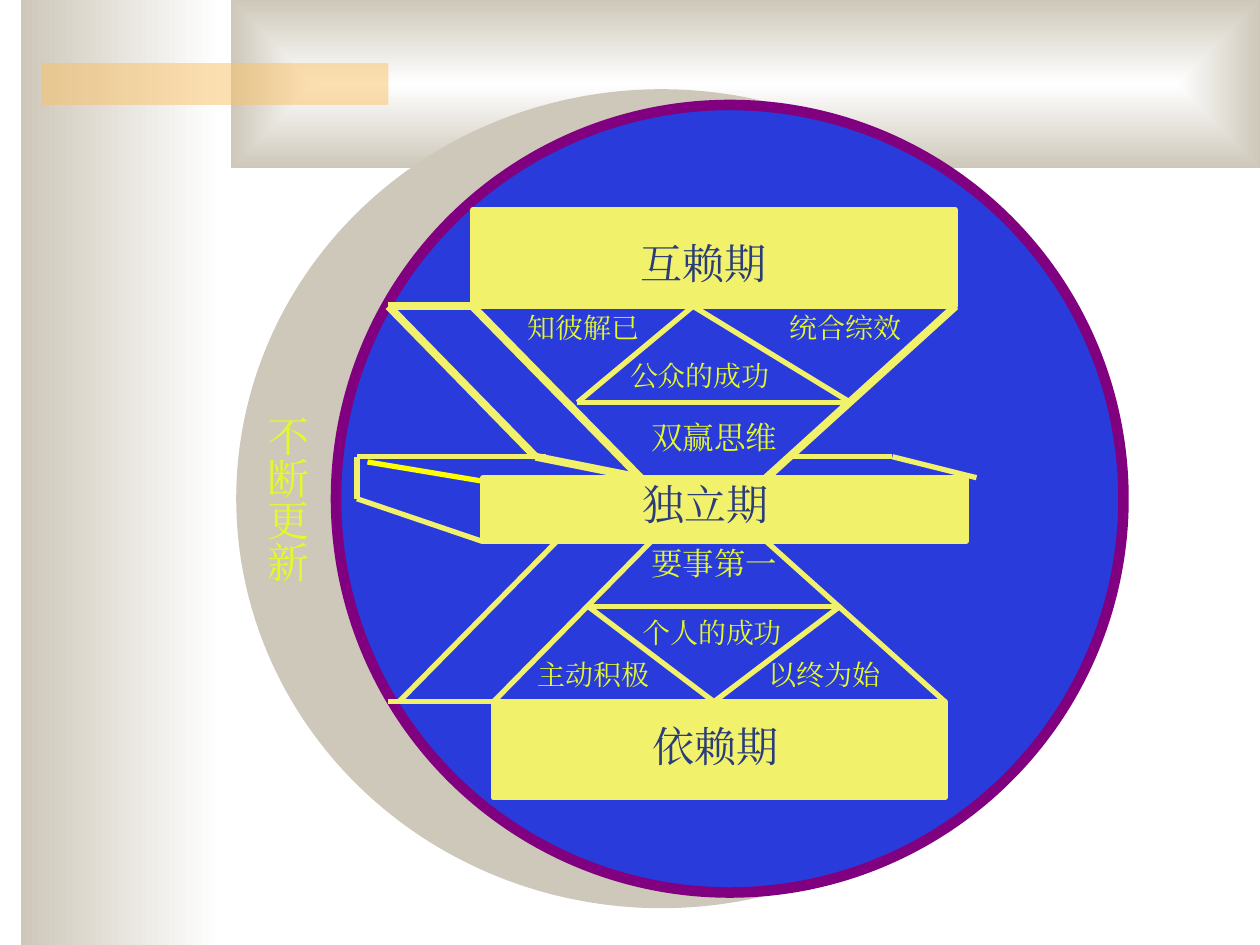
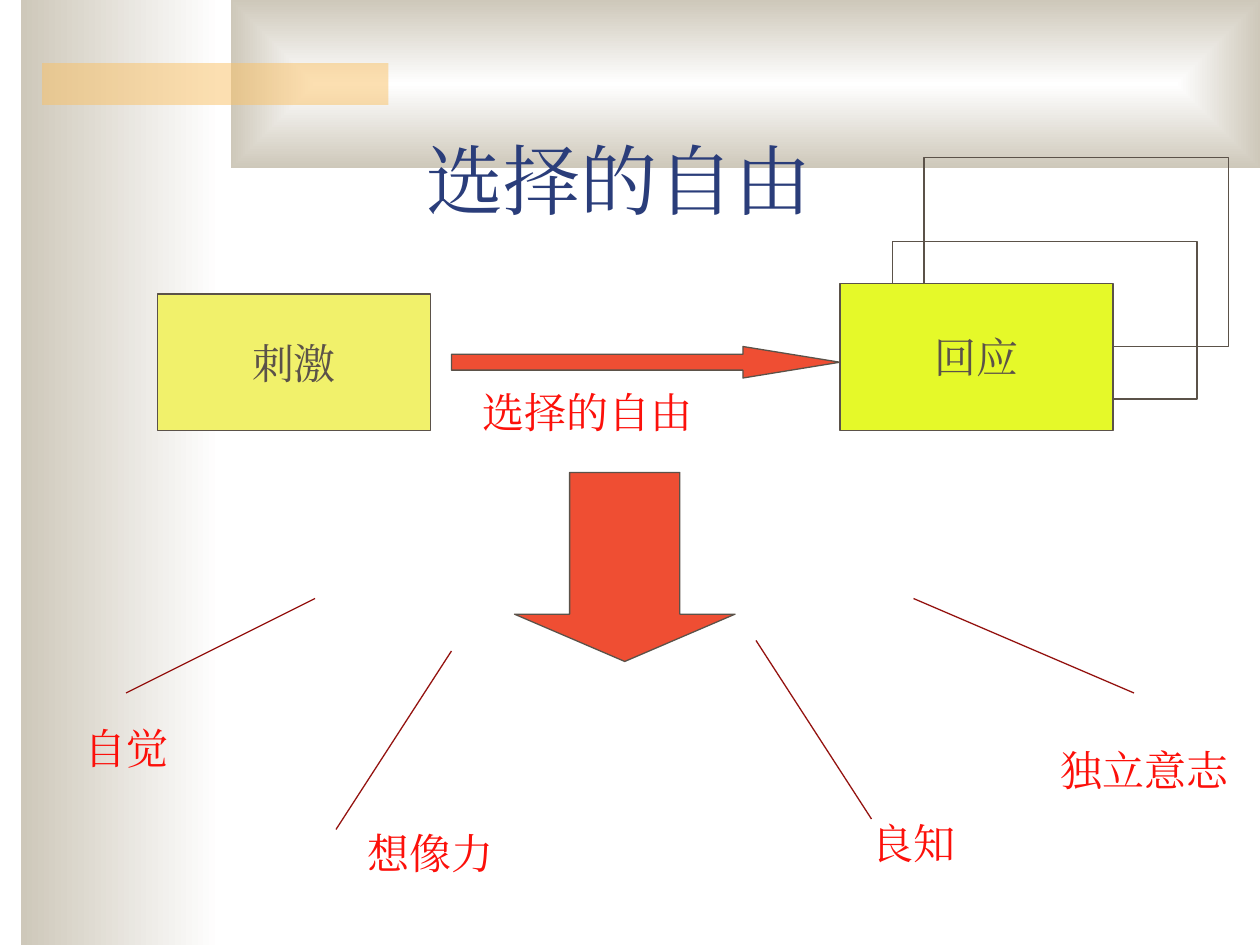
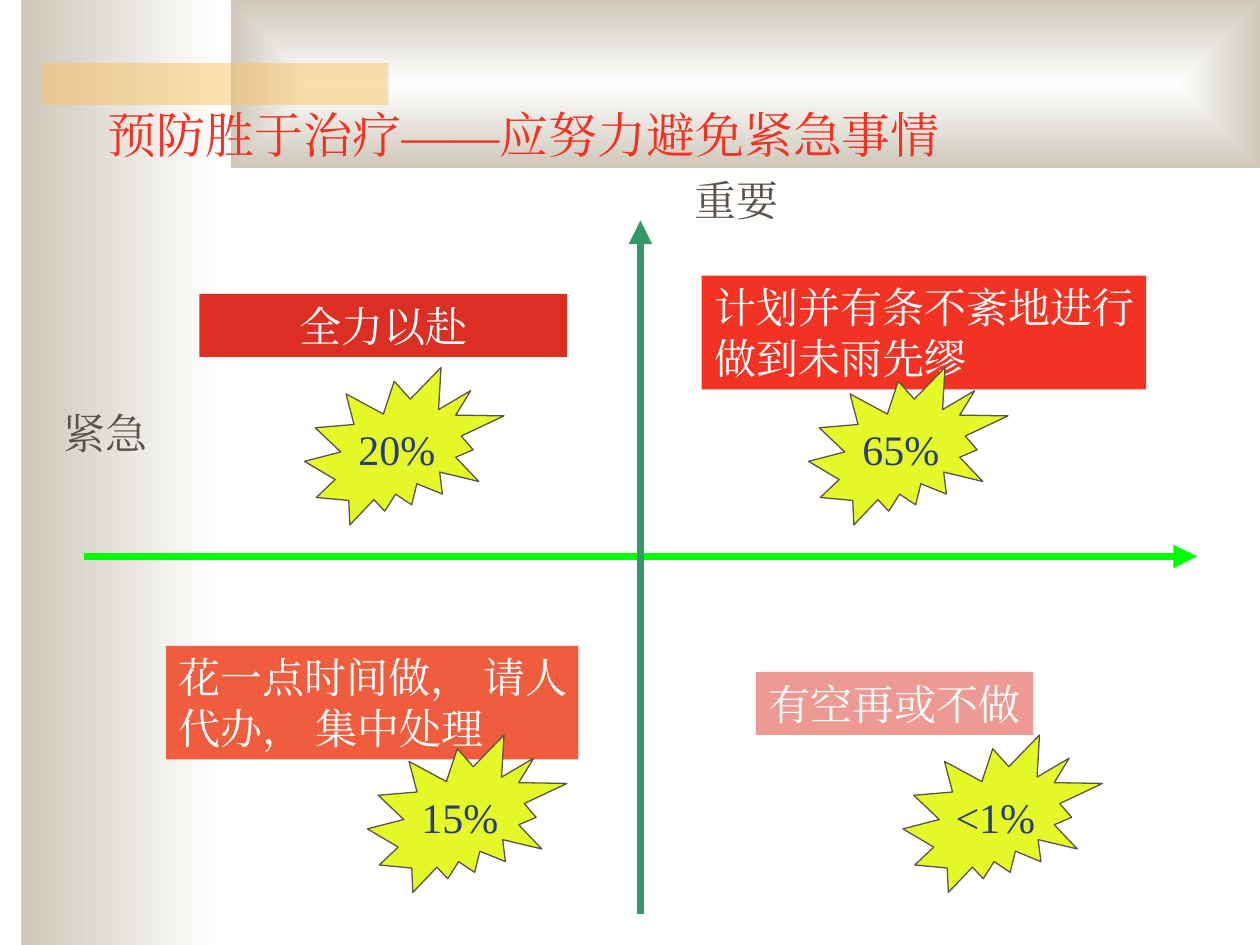
import itertools
import pptx
import pptx.dml.color
import pptx.enum.shapes
import pptx.enum.text
import pptx.oxml
import pptx.oxml.ns
import pptx.util

Pt = pptx.util.Pt
RGB = pptx.dml.color.RGBColor
KIND = pptx.enum.shapes.MSO_SHAPE
ALIGN = pptx.enum.text.PP_ALIGN
ANCHOR = pptx.enum.text.MSO_ANCHOR
qn = pptx.oxml.ns.qn
NS = pptx.oxml.ns.nsdecls("a")

# Shared look
FONT = "Times New Roman"
WHITE = RGB(0xFF, 0xFF, 0xFF)
STONE = RGB(0xCE, 0xC8, 0xBA)
PEACH = RGB(0xFA, 0xC1, 0x64)
NAVY = RGB(0x2A, 0x3D, 0x7A)
BROWN = RGB(0x5B, 0x52, 0x49)
LIME = RGB(0xE5, 0xF9, 0x29)
STRAW = RGB(0xF1, 0xF1, 0x6B)
YELLOW = RGB(0xFF, 0xFF, 0x00)
BLUE = RGB(0x2A, 0x3B, 0xDC)
PURPLE = RGB(0x80, 0x00, 0x80)
RED = RGB(0xFC, 0x10, 0x0A)
BRICK = RGB(0xEF, 0x4E, 0x33)
WINE = RGB(0x94, 0x13, 0x10)
SCARLET = RGB(0xF2, 0x33, 0x24)
CRIMSON = RGB(0xDA, 0x2F, 0x22)
CORAL = RGB(0xF0, 0x5C, 0x3E)
ROSE = RGB(0xEE, 0x9A, 0x94)
GREEN = RGB(0x00, 0xFF, 0x00)
TEAL = RGB(0x33, 0x99, 0x66)

# Slide 1: levels of the hourglass, from top to bottom
ROOF, FORK, SHELF, NECK = 175, 230, 261, 273
LEDGE, WAIST, CROSS, FLOOR = 285, 309.5, 346.5, 401
STAGES = [(270, 120, 276, ROOF - 120), (276, NECK, 276, WAIST - NECK),
          (282, FLOOR, 258, 55)]
THICK = [
    [(222, ROOF), (270, ROOF), (366, NECK)],
    [(222, ROOF), (306, SHELF), (366, NECK)],
    [(546, ROOF), (438, NECK)],
]
THIN = [
    [(396, ROOF), (330, FORK), (486, FORK), (396, ROOF)],
    [(312, SHELF), (204, SHELF), (204, LEDGE), (276, WAIST)],
    [(450, SHELF), (510, SHELF), (558, NECK)],
    [(372, WAIST), (282, FLOOR), (222, FLOOR)],
    [(318, WAIST), (228, FLOOR)],
    [(438, WAIST), (540, FLOOR)],
    [(408, FLOOR), (336, CROSS), (480, CROSS), (408, FLOOR)],
]
LABELS = [
    ("依赖期", 366, 408, 24, NAVY),
    ("主动积极", 300, 372, 16, LIME),
    ("以终为始", 432, 372, 16, LIME),
    ("个人的成功", 360, 348, 16, LIME),
    ("要事第一", 365, 307.5, 18, LIME),
    ("独立期", 360, 270, 24, NAVY),
    ("双赢思维", 365, 235.5, 18, LIME),
    ("公众的成功", 353, 201.5, 16, LIME),
    ("知彼解已", 294.5, 174, 16, LIME),
    ("统合综效", 444, 174, 16, LIME),
    ("互赖期", 359, 132, 24, NAVY),
]
RENEW = "不断更新"

# Slide 2
CHOICE = "选择的自由"
RAYS = [((180, 342), (72, 396)), ((258, 372), (192, 474)),
        ((432, 366), (498, 468)), ((522, 342), (648, 396))]
GIFTS = [("选择的自由", 268.5, 217.5), ("自觉", 41, 409.5), ("想像力", 203, 469.5),
         ("良知", 491, 463.5), ("独立意志", 599, 422)]

# Slide 3
PREVENT = "预防胜于治疗——应努力避免紧急事情"
AXES = [((48, 318), (684, 318), GREEN, "紧急", (29, 229.5)),
        ((366, 522), (366, 126), TEAL, "重要", (390, 96))]
PLANS = [
    (["全力以赴"], (114, 168, 210, 36), CRIMSON, ALIGN.CENTER),
    (["计划并有条不紊地进行", "做到未雨先缪"], (401, 157.5, 254, 65), SCARLET, ALIGN.LEFT),
    (["花一点时间做， 请人", "代办， 集中处理"], (95, 369, 235.5, 65), CORAL, ALIGN.LEFT),
    (["有空再或不做"], (432, 384, 158.5, 36), ROSE, ALIGN.LEFT),
]
SHARES = [("20%", 174, 210), ("65%", 462, 210), ("15%", 210, 420), ("<1%", 516, 420)]


def write(frame, lines, size, color, align=ALIGN.LEFT, anchor=ANCHOR.TOP):
    frame.word_wrap = False
    frame.auto_size = pptx.enum.text.MSO_AUTO_SIZE.NONE
    frame.vertical_anchor = anchor
    for n, line in enumerate(lines):
        para = frame.add_paragraph() if n else frame.paragraphs[0]
        para.alignment = align
        run = para.add_run()
        run.text = line
        run.font.size = Pt(size)
        run.font.name = FONT
        run.font.color.rgb = color
        east = pptx.oxml.parse_xml(f'<a:ea {NS} typeface="{FONT}"/>')
        run.font._element.find(qn("a:latin")).addnext(east)


def place(item, left, top, width, height):
    item.left, item.top, item.width, item.height = map(Pt, (left, top, width, height))


def shape(slide, kind, box, fill=None, line=None, weight=0.75):
    item = slide.shapes.add_shape(kind, *map(Pt, box))
    item.shadow.inherit = False
    if fill is None:
        item.fill.background()
    else:
        item.fill.solid()
        item.fill.fore_color.rgb = fill
    if line is None:
        item.line.fill.background()
    else:
        item.line.color.rgb = line
        item.line.width = Pt(weight)
    return item


def span(text, size):
    """Width and height of one line of full-width text with its insets."""
    return len(text) * size + 14.4, size * 1.2 + 7.2


def label(slide, text, left, top, size, color):
    box = slide.shapes.add_textbox(*map(Pt, (left, top, *span(text, size))))
    write(box.text_frame, [text], size, color)


def stroke(slide, start, end, color, weight, arrow=False):
    item = slide.shapes.add_connector(
        pptx.enum.shapes.MSO_CONNECTOR.STRAIGHT, *map(Pt, (*start, *end)))
    item.line.color.rgb = color
    item.line.width = Pt(weight)
    props = item.element.spPr
    if arrow:
        props.find(qn("a:ln")).append(
            pptx.oxml.parse_xml(f'<a:tailEnd {NS} type="triangle"/>'))
    props.append(pptx.oxml.parse_xml(f"<a:effectLst {NS}/>"))


def title(slide, text, box, size, color, align, anchor):
    item = slide.shapes.title
    place(item, *box)
    write(item.text_frame, [text], size, color, align, anchor)


def fade(item):
    item.fill.gradient()
    item.fill.gradient_angle = 180
    for stop, color, where in zip(item.fill.gradient_stops, (WHITE, STONE), (0, 1)):
        stop.color.rgb = color
        stop.position = where


def dress(deck, slide):
    """Build the bands on a slide, then move them to the master."""
    side = shape(slide, KIND.RECTANGLE, (12, 0, 114, 540), STONE)
    head = shape(slide, KIND.RECTANGLE, (132, 0, 588, 96), STONE)
    bar = shape(slide, KIND.RECTANGLE, (24, 36, 198, 24), PEACH)
    fade(side)
    fade(head)
    lin = head.element.spPr.find(".//" + qn("a:lin"))
    lin.getparent().replace(lin, pptx.oxml.parse_xml(
        f'<a:path {NS} path="rect"><a:fillToRect l="50000" t="50000" '
        'r="50000" b="50000"/></a:path>'))
    bar.element.spPr.find(".//" + qn("a:srgbClr")).append(
        pptx.oxml.parse_xml(f'<a:alpha {NS} val="50000"/>'))
    tree = deck.slide_master.shapes.element
    for n, item in enumerate((side, head, bar)):
        item.element.find(".//" + qn("p:cNvPr")).set("id", str(101 + n))
        tree.insert(2 + n, item.element)


def habits(slide):
    shape(slide, KIND.OVAL, (138, 54, 480, 462), STONE, STONE, 6)
    shape(slide, KIND.OVAL, (192, 60, 450, 450), BLUE, PURPLE, 6)
    stroke(slide, (210, 264), (282, 276), YELLOW, 3)
    for box in STAGES:
        shape(slide, KIND.RECTANGLE, box, STRAW, STRAW, 3)
    for weight, chains in ((4.5, THICK), (3, THIN)):
        for start, end in itertools.chain.from_iterable(map(itertools.pairwise, chains)):
            stroke(slide, start, end, STRAW, weight)
    for row in LABELS:
        label(slide, *row)
    # Upright text on the crescent
    box = slide.shapes.add_textbox(*map(Pt, (139, 230.5, 43, 103.5)))
    frame = box.text_frame
    write(frame, [RENEW], 24, LIME)
    frame.margin_left = frame.margin_right = Pt(3.6)
    frame.margin_top = frame.margin_bottom = Pt(7.2)
    frame._txBody.bodyPr.set("vert", "eaVert")


def freedom(slide):
    title(slide, CHOICE, (48, 42, 612, 90), 44, NAVY, ALIGN.CENTER, ANCHOR.BOTTOM)
    cause = shape(slide, KIND.RECTANGLE, (90, 168, 156, 78), STRAW, BROWN)
    write(cause.text_frame, ["刺激"], 24, BROWN, ALIGN.CENTER, ANCHOR.MIDDLE)
    across = shape(slide, KIND.RIGHT_ARROW, (258, 198, 222, 18), BRICK, BROWN)
    across.adjustments[1] = 3.08
    down = shape(slide, KIND.DOWN_ARROW, (294, 270, 126, 108), BRICK, BROWN)
    down.adjustments[1] = 0.25
    for start, end in RAYS:
        stroke(slide, start, end, WINE, 0.75)
    for text, left, top in GIFTS:
        label(slide, text, left, top, 24, RED)
    # Response card in front of two outlines
    for box in ((510, 138, 174, 90), (528, 90, 174, 108)):
        shape(slide, KIND.RECTANGLE, box, None, BROWN)
    reply = shape(slide, KIND.RECTANGLE, (480, 162, 156, 84), LIME, BROWN)
    write(reply.text_frame, ["回应"], 24, BROWN, ALIGN.CENTER, ANCHOR.MIDDLE)


def matrix(slide):
    title(slide, PREVENT, (54.5, 56, *span(PREVENT, 28)), 28, SCARLET,
          ALIGN.LEFT, ANCHOR.TOP)
    for start, end, color, name, spot in AXES:
        stroke(slide, start, end, color, 4.5, arrow=True)
        label(slide, name, *spot, 24, BROWN)
    for lines, box, fill, align in PLANS:
        item = shape(slide, KIND.RECTANGLE, box, fill)
        write(item.text_frame, lines, 24, WHITE, align)
    for text, left, top in SHARES:
        star = shape(slide, KIND.EXPLOSION2, (left, top, 114, 90), LIME, BROWN)
        write(star.text_frame, [text], 24, NAVY, ALIGN.CENTER, ANCHOR.MIDDLE)


def main():
    deck = pptx.Presentation()
    deck.slide_width, deck.slide_height = Pt(720), Pt(540)
    only, blank = deck.slide_layouts[5], deck.slide_layouts[6]
    for n, (layout, draw) in enumerate(((blank, habits), (only, freedom), (only, matrix))):
        slide = deck.slides.add_slide(layout)
        if n == 0:
            dress(deck, slide)
        draw(slide)
    deck.save("out.pptx")


if __name__ == "__main__":
    main()
